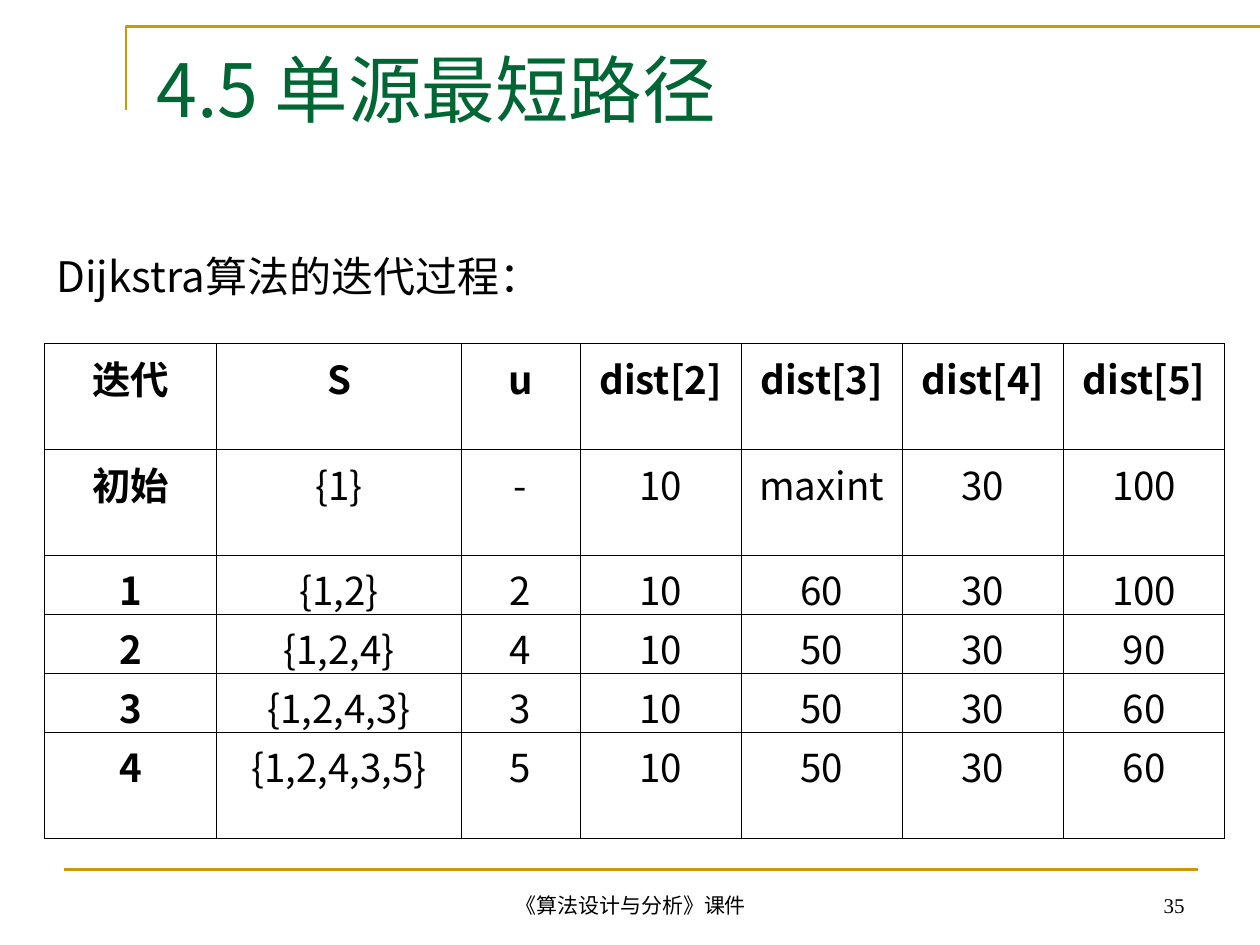
from dataclasses import dataclass

from lxml import etree
from pptx import Presentation
from pptx.dml.color import RGBColor
from pptx.enum.shapes import MSO_CONNECTOR
from pptx.enum.text import MSO_ANCHOR, MSO_AUTO_SIZE, PP_ALIGN
from pptx.oxml.ns import qn
from pptx.util import Cm, Pt

LEFT, CENTER, RIGHT = PP_ALIGN.LEFT, PP_ALIGN.CENTER, PP_ALIGN.RIGHT
TOP, BOTTOM = MSO_ANCHOR.TOP, MSO_ANCHOR.BOTTOM
NO_FIT = MSO_AUTO_SIZE.NONE
STRAIGHT = MSO_CONNECTOR.STRAIGHT

COLORS = {"title": "006633", "text": "000000", "rule": "CC9900"}
SANS, SERIF = "Noto Sans CJK SC", "Times New Roman"


@dataclass
class Label:
    text: str
    left: float
    top: float
    width: float
    height: float
    size: int
    font: str = SERIF
    align: PP_ALIGN = LEFT
    anchor: MSO_ANCHOR = BOTTOM


def write(tf, text: str, *, size: int, font: str = SANS, color: str = "text",
          bold: bool = False, align: PP_ALIGN = LEFT) -> None:
    """Put one formatted paragraph in a text frame."""
    p = tf.paragraphs[0]
    p.alignment = align
    r = p.add_run()
    r.text = text
    r.font.size = Pt(size)
    r.font.bold = bold
    r.font.name = font
    r.font.color.rgb = RGBColor.from_string(COLORS[color])
    etree.SubElement(r.font._element, qn("a:ea"), typeface=SANS)


def add_label(slide, label: Label) -> None:
    sp = slide.shapes.add_textbox(Cm(label.left), Cm(label.top),
                                  Cm(label.width), Cm(label.height))
    tf = sp.text_frame
    tf.word_wrap = True
    tf.vertical_anchor = label.anchor
    write(tf, label.text, size=label.size, font=label.font, align=label.align)


def style_line(sp) -> None:
    sp.line.color.rgb = RGBColor.from_string(COLORS["rule"])
    sp.line.width = Pt(1.5)


def add_borders(cell, width: float = 0.45) -> None:
    tc_pr = cell._tc.get_or_add_tcPr()
    for side in ("lnL", "lnR", "lnT", "lnB"):
        ln = etree.SubElement(tc_pr, qn(f"a:{side}"), w=str(Pt(width)))
        fill = etree.SubElement(ln, qn("a:solidFill"))
        etree.SubElement(fill, qn("a:srgbClr"), val=COLORS["text"])


prs = Presentation()
prs.slide_width, prs.slide_height = Cm(25.4), Cm(19.05)
s = prs.slides.add_slide(prs.slide_layouts[5])

# Corner rule around the title and rule above the footer
builder = s.shapes.build_freeform(Cm(2.54), Cm(2.21))
builder.add_line_segments([(Cm(2.54), Cm(0.53)), (Cm(25.4), Cm(0.53))], close=False)
corner = builder.convert_to_shape()
corner.shadow.inherit = False
corner.fill.background()
style_line(corner)

footer_rule = s.shapes.add_connector(STRAIGHT, Cm(1.3), Cm(17.53), Cm(24.16), Cm(17.53))
etree.SubElement(footer_rule._element.spPr, qn("a:effectLst"))
style_line(footer_rule)

# Title
title = s.shapes.title
title.left, title.top, title.width, title.height = Cm(2.9), Cm(0.76), Cm(19.81), Cm(2.36)
title.text_frame.auto_size = NO_FIT
title.text_frame.vertical_anchor = TOP
write(title.text_frame, "4.5 单源最短路径", size=42, color="title")

# Caption and footer
LABELS = [
    Label("Dijkstra算法的迭代过程：", 0.89, 4.93, 23.8, 1.27, 24, SANS, anchor=TOP),
    Label("《算法设计与分析》课件", 8.69, 17.73, 8.05, 0.89, 12, align=CENTER),
    Label("35", 18.21, 17.73, 5.92, 0.89, 12, align=RIGHT),
]
for label in LABELS:
    add_label(s, label)

# Iteration table
ROWS = [
    ["迭代", "S", "u", "dist[2]", "dist[3]", "dist[4]", "dist[5]"],
    ["初始", "{1}", "-", "10", "maxint", "30", "100"],
    ["1", "{1,2}", "2", "10", "60", "30", "100"],
    ["2", "{1,2,4}", "4", "10", "50", "30", "90"],
    ["3", "{1,2,4,3}", "3", "10", "50", "30", "60"],
    ["4", "{1,2,4,3,5}", "5", "10", "50", "30", "60"],
]
COL_WIDTHS = [3.48, 4.93, 2.39] + [3.25] * 4
ROW_HEIGHTS = [2.13] * 2 + [1.19] * 3 + [2.13]

table = s.shapes.add_table(len(ROWS), len(COL_WIDTHS), Cm(0.89), Cm(6.93),
                           Cm(sum(COL_WIDTHS)), Cm(sum(ROW_HEIGHTS))).table
table.first_row = table.horz_banding = False
for col, width in zip(table.columns, COL_WIDTHS):
    col.width = Cm(width)
for row, height in zip(table.rows, ROW_HEIGHTS):
    row.height = Cm(height)
for i, values in enumerate(ROWS):
    for j, value in enumerate(values):
        cell = table.cell(i, j)
        add_borders(cell)
        cell.fill.background()
        write(cell.text_frame, value, size=22, bold=i == 0 or j == 0, align=CENTER)

prs.save("out.pptx")
